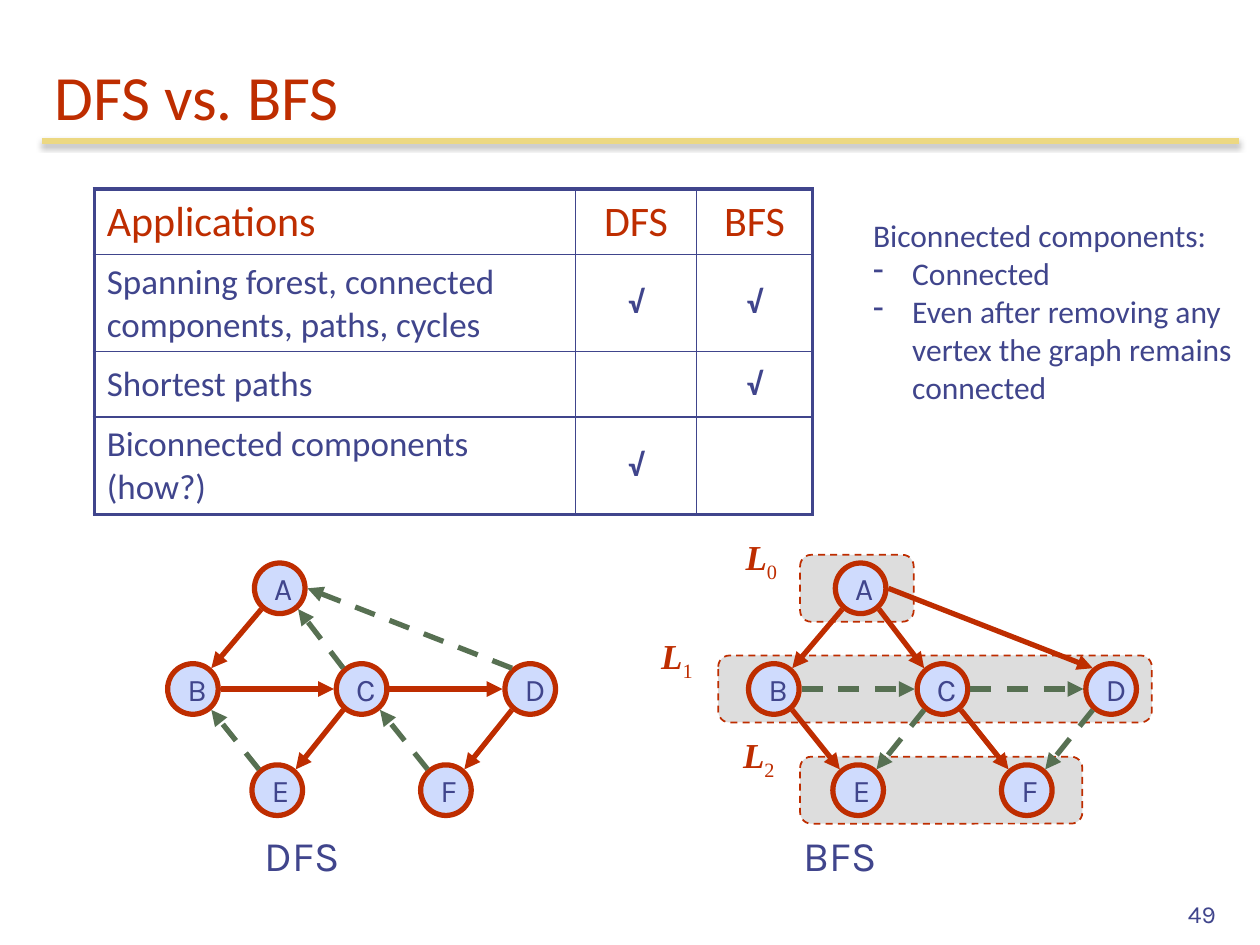
from lxml.etree import SubElement
from pptx import Presentation
from pptx.dml.color import RGBColor
from pptx.enum.dml import MSO_LINE_DASH_STYLE as Dash
from pptx.enum.shapes import MSO_CONNECTOR as Connector, MSO_SHAPE as Shape
from pptx.enum.text import MSO_ANCHOR as Anchor, MSO_AUTO_SIZE as AutoSize, PP_ALIGN as Align
from pptx.oxml.ns import qn
from pptx.util import Cm, Pt

COLORS = {"red": "BE2D00", "ink": "40458C", "green": "577052", "node": "CFDBFD",
          "band": "DDDDDD", "rule": "ECD882", "shadow": "000000"}
TITLE = "DFS vs. BFS"
PAGE_NUMBER = "49"
TABLE = [
    ("Applications", "DFS", "BFS"),
    ("Spanning forest, connected components, paths, cycles", "√", "√"),
    ("Shortest paths", "", "√"),
    ("Biconnected components (how?)", "√", ""),
]
COLUMN_WIDTHS = (9.7, 2.44, 2.34)
ROW_HEIGHTS = (1.32, 1.96, 1.32, 1.96)
NOTE_HEADING = "Biconnected components:"
NOTE_BULLETS = ["Connected", "Even after removing any\nvertex the graph remains\nconnected"]

LEVELS = (11.86, 13.89, 15.93)
NODES = {"A": (5.64, LEVELS[0]), "B": (3.89, LEVELS[1]), "C": (7.29, LEVELS[1]),
         "D": (10.69, LEVELS[1]), "E": (5.59, LEVELS[2]), "F": (8.99, LEVELS[2])}
DIAMETER = 1.02
BFS_OFFSET = 11.71
DFS_TREE, DFS_BACK = ("AB", "BC", "CD", "CE", "DF"), ("EB", "CA", "DA", "FC")
BFS_TREE, BFS_CROSS = ("AB", "AC", "AD", "BE", "CF"), ("BC", "CD", "CE", "DF")
BANDS = [(16.13, 2.29), (14.48, 8.74), (16.13, 5.69)]
BAND_HEIGHT = 1.35
LEVEL_LABELS = [(14.78, 10.67), (13.08, 12.67), (14.73, 14.66)]
CAPTIONS = [("DFS", 5.08), ("BFS", 15.95)]


def color(name):
    return RGBColor.from_string(COLORS[name])


def style(paragraph, size, name="ink", face="Calibri", bold=False):
    for run in paragraph.runs:
        font = run.font
        font.size, font.name, font.bold = Pt(size), face, bold
        font.color.rgb = color(name)


def add_text(shapes, text, box, size, name="ink", face="Karla", wrap=True):
    shape = shapes.add_textbox(*map(Cm, box))
    frame = shape.text_frame
    frame.text = text
    frame.word_wrap = wrap
    style(frame.paragraphs[0], size, name, face)
    return frame


def add_line(shapes, start, end, name):
    line = shapes.add_connector(Connector.STRAIGHT, *map(Cm, (*start, *end)))
    line.line.color.rgb = color(name)
    line.line.width = Pt(3)
    return line, SubElement(line._element.spPr, qn("a:effectLst"))


def add_rule(shapes):
    _, effects = add_line(shapes, (0.84, 2.84), (24.97, 2.84), "rule")
    shadow = SubElement(effects, qn("a:outerShdw"), blurRad=str(Pt(3.1)),
                        dist=str(Pt(1.8)), dir="5400000", rotWithShape="0")
    tint = SubElement(shadow, qn("a:srgbClr"), val=COLORS["shadow"])
    SubElement(tint, qn("a:alpha"), val="35000")


def port(node, other):
    (x, y), (other_x, other_y) = NODES[node], NODES[other]
    dx, dy = other_x - x, other_y - y
    side = 1 if dx > 0 else -1
    if dy >= 0 and abs(dx) > 2 * dy:
        return x + 0.56 * side, y
    return x + 0.37 * side, y + (0.42 if dy > 0 else -0.42)


def add_graph(shapes, offset, tree, extra):
    for name, (x, y) in NODES.items():
        node = shapes.add_shape(Shape.OVAL, Cm(offset + x - DIAMETER / 2), Cm(y - DIAMETER / 2),
                                Cm(DIAMETER), Cm(DIAMETER))
        paint(node, "node", 3)
        frame = node.text_frame
        frame.text = name
        frame.word_wrap = False
        frame.vertical_anchor = Anchor.MIDDLE
        frame.paragraphs[0].alignment = Align.LEFT
        style(frame.paragraphs[0], 18, face="Karla")
    for source, target in tree + extra:
        (x1, y1), (x2, y2) = port(source, target), port(target, source)
        dashed = source + target in extra
        edge, _ = add_line(shapes, (offset + x1, y1), (offset + x2, y2),
                           "green" if dashed else "red")
        if dashed:
            edge.line.dash_style = Dash.DASH
        SubElement(edge.line._get_or_add_ln(), qn("a:tailEnd"), type="triangle")


def paint(shape, fill, width):
    shape.shadow.inherit = False
    shape.fill.solid()
    shape.fill.fore_color.rgb = color(fill)
    shape.line.color.rgb = color("red")
    shape.line.width = Pt(width)


def add_levels(shapes):
    for y, (left, width) in zip(LEVELS, BANDS):
        band = shapes.add_shape(Shape.ROUNDED_RECTANGLE, Cm(left), Cm(y - BAND_HEIGHT / 2),
                                Cm(width), Cm(BAND_HEIGHT))
        paint(band, "band", 1)
        band.line.dash_style = Dash.DASH
    for index, (left, top) in enumerate(LEVEL_LABELS):
        frame = add_text(shapes, "L", (left, top, 1.3, 1.09), 20, "red")
        paragraph = frame.paragraphs[0]
        subscript = paragraph.add_run()
        subscript.text = str(index)
        style(paragraph, 20, "red", "Times New Roman")
        paragraph.runs[0].font.bold = paragraph.runs[0].font.italic = True
        subscript._r.get_or_add_rPr().set("baseline", "-25000")


def add_borders(cell, row, column):
    outer = {"L": column == 0, "R": column == len(COLUMN_WIDTHS) - 1,
             "T": row == 0, "B": row == len(ROW_HEIGHTS) - 1}
    properties = cell._tc.get_or_add_tcPr()
    for side, thick in outer.items():
        border = SubElement(properties, qn(f"a:ln{side}"), w=str(Pt(2.25 if thick else 1)))
        fill = SubElement(border, qn("a:solidFill"))
        SubElement(fill, qn("a:srgbClr"), val=COLORS["ink"])


def add_applications(shapes):
    frame = shapes.add_table(len(TABLE), len(COLUMN_WIDTHS), Cm(1.9), Cm(3.81),
                             Cm(sum(COLUMN_WIDTHS)), Cm(sum(ROW_HEIGHTS)))
    table = frame.table
    table.first_row = table.horz_banding = False
    for column, width in zip(table.columns, COLUMN_WIDTHS):
        column.width = Cm(width)
    for row, (values, height) in enumerate(zip(TABLE, ROW_HEIGHTS)):
        table.rows[row].height = Cm(height)
        for column, value in enumerate(values):
            cell = table.cell(row, column)
            add_borders(cell, row, column)
            cell.fill.background()
            cell.vertical_anchor = Anchor.MIDDLE
            cell.text = value
            paragraph = cell.text_frame.paragraphs[0]
            paragraph.alignment = Align.CENTER if column else Align.LEFT
            if row == 0:
                style(paragraph, 24, "red")
            else:
                style(paragraph, 18 if column else 20, bold=column > 0)


def add_note(shapes):
    frame = add_text(shapes, NOTE_HEADING, (17.35, 4.24, 7.82, 4.11), 18,
                     face="Calibri", wrap=False)
    for text in NOTE_BULLETS:
        paragraph = frame.add_paragraph()
        paragraph.text = text
        properties = paragraph._p.get_or_add_pPr()
        properties.set("marL", str(Cm(0.79)))
        properties.set("indent", str(Cm(-0.79)))
        SubElement(properties, qn("a:buChar"), char="-")
        style(paragraph, 18)


def main():
    """Build the slide that compares DFS with BFS."""
    presentation = Presentation()
    presentation.slide_width, presentation.slide_height = Cm(25.4), Cm(19.05)
    slide = presentation.slides.add_slide(presentation.slide_layouts[5])
    shapes = slide.shapes
    title = shapes.title
    title.left, title.top, title.width, title.height = map(Cm, (0.84, 0.84, 24.13, 1.98))
    title.text_frame.text = TITLE
    title.text_frame.auto_size = AutoSize.NONE
    title.text_frame.vertical_anchor = Anchor.BOTTOM
    title.text_frame.paragraphs[0].alignment = Align.LEFT
    style(title.text_frame.paragraphs[0], 36, "red")
    add_rule(shapes)
    bfs_shapes = shapes.add_group_shape().shapes
    add_levels(bfs_shapes)
    add_graph(bfs_shapes, BFS_OFFSET, BFS_TREE, BFS_CROSS)
    add_graph(shapes, 0, DFS_TREE, DFS_BACK)
    for text, left in CAPTIONS:
        add_text(shapes, text, (left, 16.59, 4.42, 1.27), 24)
    add_applications(shapes)
    number = add_text(shapes, PAGE_NUMBER, (19.48, 17.58, 5.28, 1.27), 14)
    number.vertical_anchor = Anchor.BOTTOM
    number.paragraphs[0].alignment = Align.RIGHT
    add_note(shapes)
    presentation.save("out.pptx")


if __name__ == "__main__":
    main()
